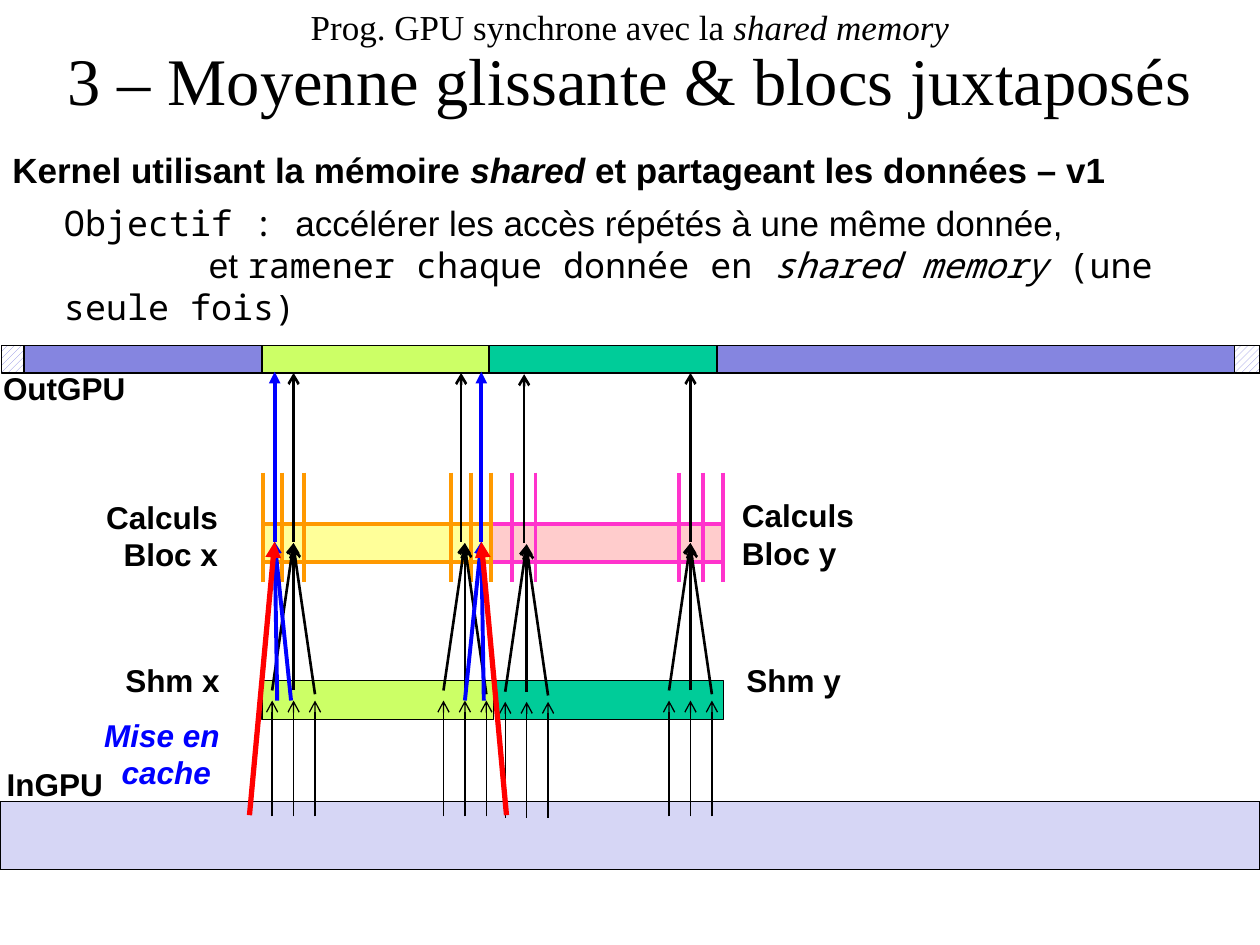
from lxml import etree
from pptx import Presentation
from pptx.dml.color import RGBColor
from pptx.enum.dml import MSO_PATTERN
from pptx.enum.shapes import MSO_CONNECTOR, MSO_SHAPE
from pptx.enum.text import MSO_ANCHOR, MSO_AUTO_SIZE, PP_ALIGN
from pptx.oxml.ns import qn
from pptx.util import Inches, Pt

RECT = MSO_SHAPE.RECTANGLE
STRAIGHT = MSO_CONNECTOR.STRAIGHT
HATCH = MSO_PATTERN.WIDE_UPWARD_DIAGONAL
MIDDLE = MSO_ANCHOR.MIDDLE
GROW = MSO_AUTO_SIZE.SHAPE_TO_FIT_TEXT
LEFT, CENTER, RIGHT = PP_ALIGN.LEFT, PP_ALIGN.CENTER, PP_ALIGN.RIGHT

SANS, MONO, SERIF = "Arial", "Noto Sans Mono", "Times New Roman"
BLACK, WHITE, BLUE, RED = "000000", "FFFFFF", "0000FF", "FF0000"
LILAC, PALE, LIME, GREEN = "8585E0", "D6D6F5", "CCFF66", "00CC99"
ORANGE, YELLOW, PINK, ROSE = "FF9900", "FFFF99", "FF33CC", "FFCCCC"


def color(code):
    """Turn a hex string into a colour."""
    return RGBColor.from_string(code)


def add_rect(slide, box, fill, edge=BLACK, width=0.75):
    """Add an outlined rectangle, hatched when no fill is given."""
    shape = slide.shapes.add_shape(RECT, *map(Inches, box))
    shape.shadow.inherit = False
    if fill:
        shape.fill.solid()
        shape.fill.fore_color.rgb = color(fill)
    else:
        shape.fill.patterned()
        shape.fill.pattern = HATCH
        shape.fill.fore_color.rgb = color(LILAC)
        shape.fill.back_color.rgb = color(WHITE)
    shape.line.color.rgb = color(edge)
    shape.line.width = Pt(width)


def add_line(slide, start, end, code, width, head=None):
    """Add a straight line with an optional arrowhead at its end."""
    line = slide.shapes.add_connector(STRAIGHT, *map(Inches, start + end))
    line.line.color.rgb = color(code)
    line.line.width = Pt(width)
    if head:
        etree.SubElement(line.line._get_or_add_ln(), qn("a:tailEnd"), type=head)
    etree.SubElement(line._element.spPr, qn("a:effectLst"))


def add_frame(slide, box, wrap=True):
    """Add an empty text box and return its frame."""
    frame = slide.shapes.add_textbox(*map(Inches, box)).text_frame
    frame.word_wrap = wrap
    return frame


def add_run(para, text, size, face, code=BLACK, bold=False, italic=False):
    """Append one styled run to a paragraph."""
    run = para.add_run()
    run.text = text
    font = run.font
    font.size, font.name = Pt(size), face
    font.bold, font.italic = bold, italic
    font.color.rgb = color(code)


def add_title(slide, box):
    """Write the two-line title."""
    frame = add_frame(slide, box)
    frame.vertical_anchor = MIDDLE
    para = frame.paragraphs[0]
    para.alignment, para.line_spacing = CENTER, 0.9
    add_run(para, "Prog. GPU synchrone avec la ", 20, SERIF)
    add_run(para, "shared memory", 20, SERIF, italic=True)
    para.add_line_break()
    add_run(para, "3 – Moyenne glissante & blocs juxtaposés", 38, SERIF)


def add_intro(slide, box):
    """Write the heading and the goal below it."""
    left, top, width, height = box
    head = add_frame(slide, (left, top, width, 0.44)).paragraphs[0]
    head.line_spacing = Pt(24)
    add_run(head, "Kernel utilisant la mémoire ", 20, SANS, bold=True)
    add_run(head, "shared ", 20, SANS, bold=True, italic=True)
    add_run(head, "et partageant les données – v1", 20, SANS, bold=True)
    goal = add_frame(slide, (left + 0.41, top + 0.42, width - 0.64, height - 0.42))
    first, second = goal.paragraphs[0], goal.add_paragraph()
    first.line_spacing = second.line_spacing = Pt(24)
    add_run(first, "Objectif : ", 20, MONO)
    add_run(first, "accélérer les accès répétés à une même donnée,", 20, SANS)
    props = second._p.get_or_add_pPr()
    props.set("marL", "0")
    props.set("indent", str(Inches(1.15)))
    add_run(second, "et ", 20, SANS)
    add_run(second, "ramener chaque donnée en ", 20, MONO)
    add_run(second, "shared memory ", 20, MONO, italic=True)
    add_run(second, "(une seule fois)", 20, MONO)


def add_label(slide, box, lines, align=CENTER, code=BLACK, italic=False):
    """Write a bold label, one paragraph a line."""
    frame = add_frame(slide, box, wrap=False)
    frame.auto_size = GROW
    for i, text in enumerate(lines):
        para = frame.add_paragraph() if i else frame.paragraphs[0]
        para.alignment, para.line_spacing = align, Pt(21.6)
        add_run(para, text, 18, SANS, code, True, italic)


def add_bar(slide, box, parts):
    """Draw a memory bar from (offset, width, fill) parts."""
    left, top, _, height = box
    for shift, width, fill in parts:
        add_rect(slide, (left + shift, top, width, height), fill)


def add_block(slide, box, fill, edge, posts):
    """Draw a block of threads with posts at the given offsets."""
    left, top, width, height = box
    add_rect(slide, box, fill, edge, 2.25)
    for shift in posts:
        x = left + shift
        add_line(slide, (x, top - 0.41), (x, top + height + 0.16), edge, 2.25)


def add_thread(slide, box, shift=0):
    """Draw the loads, reads and result of an inner thread."""
    left, top, width, height = box
    mid, tip, base, foot = left + width / 2, top + 1.35, top + 2.52, top + height
    for x, drop in ((left, 0), (left + width, 0.03), (mid, 0)):
        add_line(slide, (x, foot), (x, top + 2.6), BLACK, 0.75, "arrow")
        add_line(slide, (x, base + drop), (mid, tip + drop), BLACK, 1.5, "arrow")
    x = mid + shift
    add_line(slide, (x, top + 1.34), (x, top), BLACK, 1.5, "arrow")


def add_edge(slide, box, side):
    """Draw the reads and result of a thread at a block's edge."""
    left, top, width, height = box
    mid, base = left + width / 2, top + 2.61
    tip = (mid, top + 1.35)
    add_line(slide, (mid + 0.02, base), tip, BLUE, 2.25, "triangle")
    add_line(slide, (mid + side * 0.13, base), tip, BLUE, 2.25, "triangle")
    add_line(slide, (mid - side * width / 2, top + height), tip, RED, 3, "triangle")
    add_line(slide, tip, (mid, top), BLUE, 2.25, "triangle")


def main():
    """Build the slide and save it."""
    deck = Presentation()
    deck.slide_width, deck.slide_height = Inches(10), Inches(7.5)
    slide = deck.slides.add_slide(deck.slide_layouts[6])
    add_title(slide, (0, 0, 10, 1.04))
    add_intro(slide, (0, 1.13, 10, 1.5))

    add_bar(slide, (0, 6.36, 10, 0.54), [(0, 10, PALE)])
    add_bar(slide, (2.08, 5.4, 3.66, 0.31), [(0, 1.84, LIME), (1.85, 1.81, GREEN)])
    add_block(slide, (3.9, 4.16, 1.84, 0.3), ROSE, PINK,
              (0.16, 0.35, 1.49, 1.68, 1.84))
    add_block(slide, (2.09, 4.16, 1.81, 0.3), YELLOW, ORANGE,
              (0, 0.15, 0.32, 1.49, 1.65, 1.81))
    add_bar(slide, (0.01, 2.74, 9.99, 0.22),
            [(0.18, 9.61, LILAC), (2.07, 1.81, LIME), (3.87, 1.81, GREEN),
             (9.79, 0.2, None), (0, 0.18, None)])

    add_label(slide, (-0.08, 2.88, 1.18, 0.4), ["OutGPU"])
    add_label(slide, (0.73, 3.9, 1.1, 0.71), ["Calculs", "Bloc x"], RIGHT)
    add_label(slide, (5.79, 3.89, 1.1, 0.71), ["Calculs", "Bloc y"], LEFT)
    add_label(slide, (0.89, 5.2, 0.96, 0.4), ["Shm x"])
    add_label(slide, (5.82, 5.2, 0.96, 0.4), ["Shm y"])
    add_label(slide, (0.72, 5.63, 1.2, 0.71), ["Mise en ", "cache"],
              code=BLUE, italic=True)
    add_label(slide, (-0.05, 6.02, 0.97, 0.4), ["InGPU"])

    for mid, top, shift in ((2.33, 2.96, 0), (3.69, 2.96, -0.03),
                            (4.18, 2.97, -0.02), (5.48, 2.96, 0)):
        add_thread(slide, (mid - 0.17, top, 0.34, 3.52), shift)
    for mid, side in ((2.18, 1), (3.82, -1)):
        add_edge(slide, (mid - 0.2, 2.95, 0.4, 3.52), side)
    deck.save("out.pptx")


if __name__ == "__main__":
    main()
